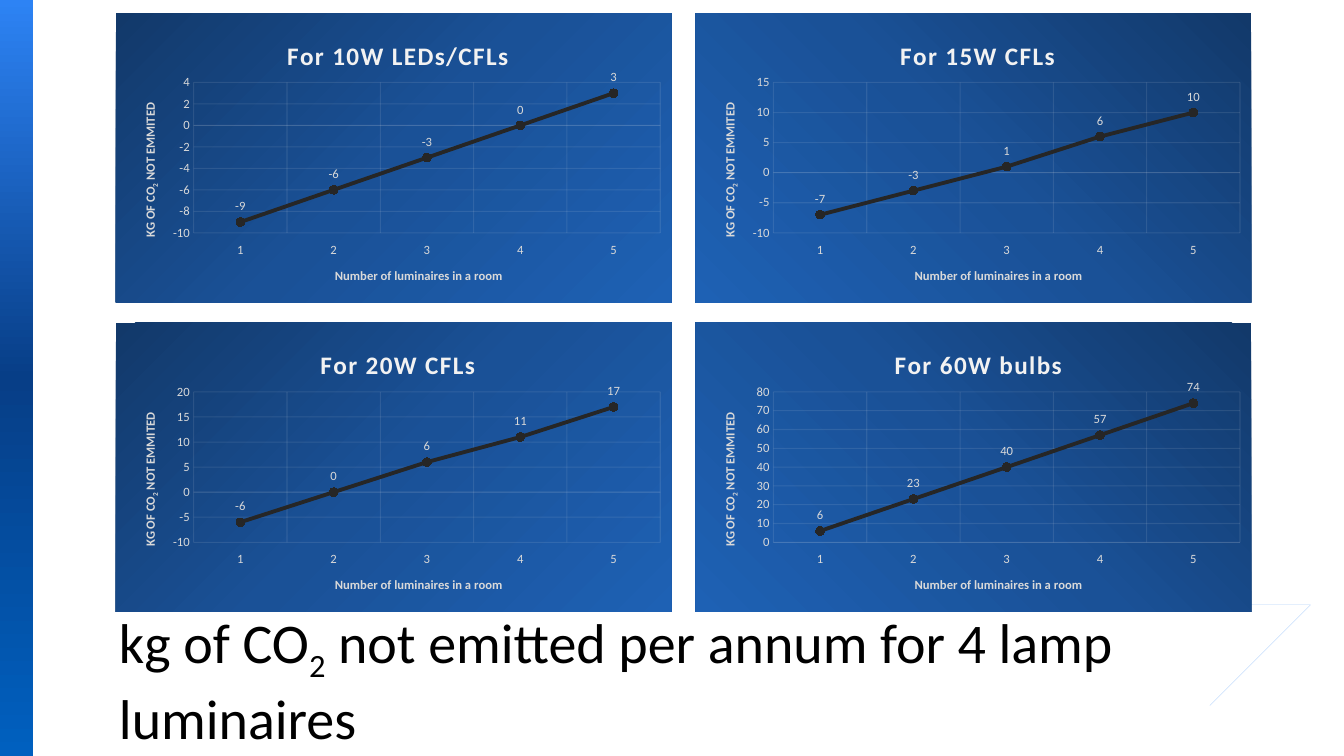
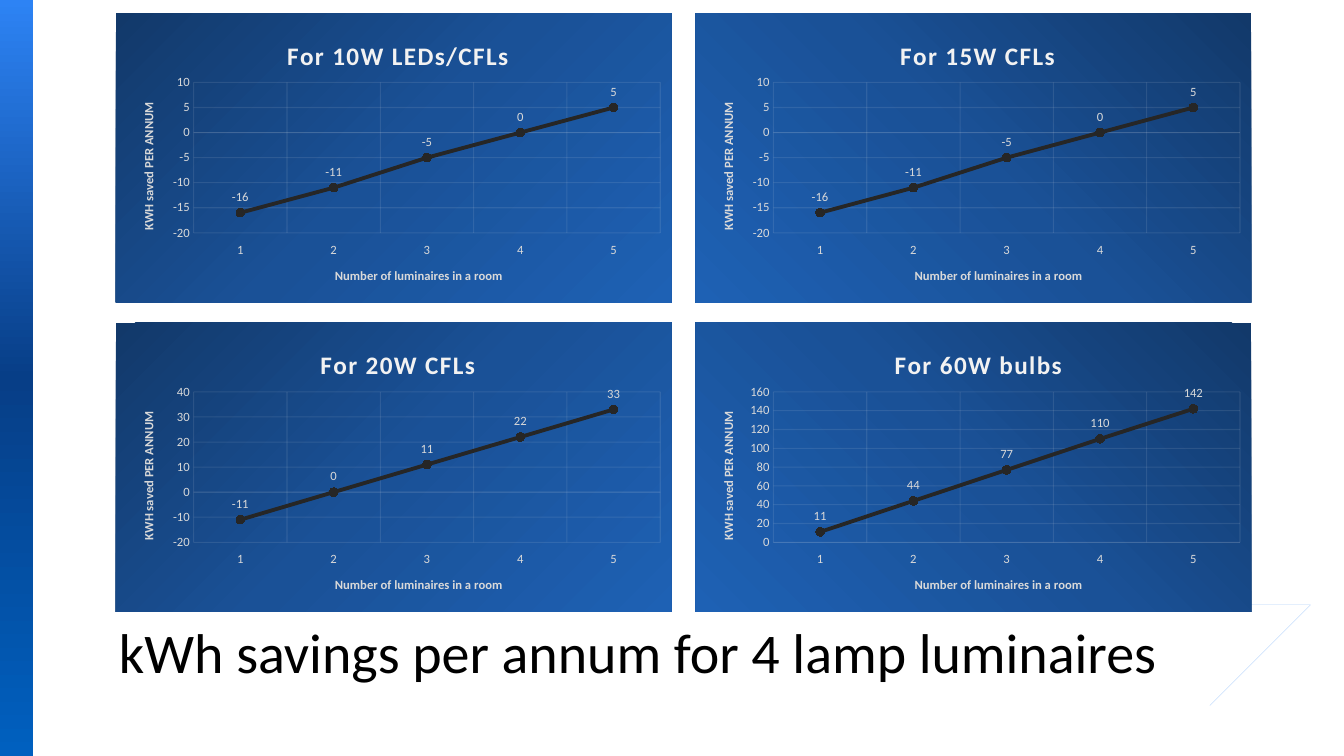
from lxml import etree
from pptx import Presentation
from pptx.chart.data import CategoryChartData
from pptx.dml.color import RGBColor
from pptx.enum.chart import (XL_CHART_TYPE, XL_LABEL_POSITION, XL_MARKER_STYLE,
                             XL_TICK_LABEL_POSITION, XL_TICK_MARK)
from pptx.enum.shapes import MSO_SHAPE
from pptx.enum.text import MSO_ANCHOR, MSO_AUTO_SIZE, PP_ALIGN
from pptx.oxml import parse_xml
from pptx.oxml.ns import qn
from pptx.util import Inches, Pt

RECTANGLE = MSO_SHAPE.RECTANGLE
LINE_MARKERS = XL_CHART_TYPE.LINE_MARKERS
ABOVE = XL_LABEL_POSITION.ABOVE
CIRCLE = XL_MARKER_STYLE.CIRCLE
TICK_LABELS_LOW = XL_TICK_LABEL_POSITION.LOW
NO_TICK = XL_TICK_MARK.NONE
BOTTOM = MSO_ANCHOR.BOTTOM
NO_AUTOFIT = MSO_AUTO_SIZE.NONE
LEFT = PP_ALIGN.LEFT

FONT = "Calibri"
BLACK, ACCENT = "000000", "2D83F4"
CHART_TITLE, CHART_TEXT, GRID = "F2F2F2", "D9D9D9", "F2F2F2"
SERIES, MARKER = "262626", "92D050"
BAND_STOPS = [(0, ACCENT), (50, "073E87"), (100, "0060BF")]
CHART_STOPS = [(0, "12396A"), (50, "1A5197"), (100, "1E61B4")]
NAMESPACES = ('xmlns:a="http://schemas.openxmlformats.org/drawingml/2006/main" '
              'xmlns:c="http://schemas.openxmlformats.org/drawingml/2006/chart"')

# Chart grid: two columns and two rows
GRID_LEFT, GRID_TOP = 1.15, 0.13
CHART_WIDTH, CHART_HEIGHT = 5.51, 2.87
COLUMN_STEP, ROW_STEP = 5.75, 3.07

# Chart title and its left edge as a share of the chart width
CHART_TITLES = [("For 10W LEDs/CFLs", 0.3), ("For 15W CFLs", 0.36),
                ("For 20W CFLs", 0.36), ("For 60W bulbs", 0.35)]
CATEGORY_TITLE = ["Number of luminaires in a room"]

# Every second text part is a subscript; a scale is minimum, maximum, step
SLIDES = [
    {
        "title": ["kg of CO", "2", " not emitted per annum for 4 lamp luminaires"],
        "title_box": (1.08, 6.03, 11.81, 1.47),
        "value_title": ["KG OF CO", "2", " NOT EMMITED"],
        "charts": [
            ([-9, -6, -3, 0, 3], (-10, 4, 2)),
            ([-7, -3, 1, 6, 10], (-10, 15, 5)),
            ([-6, 0, 6, 11, 17], (-10, 20, 5)),
            ([6, 23, 40, 57, 74], (0, 80, 10)),
        ],
    },
    {
        "title": ["kWh savings per annum for 4 lamp luminaires"],
        "title_box": (1.08, 6.11, 11.81, 0.73),
        "value_title": ["KWH saved PER ANNUM"],
        "charts": [
            ([-16, -11, -5, 0, 5], (-20, 10, 5)),
            ([-16, -11, -5, 0, 5], (-20, 10, 5)),
            ([-11, 0, 11, 22, 33], (-20, 40, 10)),
            ([11, 44, 77, 110, 142], (0, 160, 20)),
        ],
    },
]


def rgb(color):
    return RGBColor.from_string(color)


def inches(box):
    return [Inches(length) for length in box]


def style_font(font, size, color, bold=False):
    font.name, font.size, font.bold = FONT, Pt(size), bold
    font.color.rgb = rgb(color)


def write_text(text_frame, parts, size, color, bold=False):
    paragraph = text_frame.paragraphs[0]
    for part in parts:
        run = paragraph.add_run()
        run.text = part
        style_font(run.font, size, color, bold)
    return paragraph


def lower_subscripts(element):
    for run in element.xpath(".//a:r[a:t='2']"):
        run.get_or_add_rPr().set("baseline", "-25000")


def gradient(stops, angle):
    stop_xml = "".join(
        f'<a:gs pos="{position * 1000}"><a:srgbClr val="{color}"/></a:gs>'
        for position, color in stops)
    return (f'<a:gradFill {NAMESPACES} rotWithShape="1"><a:gsLst>{stop_xml}</a:gsLst>'
            f'<a:lin ang="{angle * 60000}" scaled="0"/></a:gradFill>')


def layout_element(x, y, width=None, height=None):
    """Manual chart layout, in shares of the chart area."""
    values = [("xMode", "edge"), ("yMode", "edge"), ("x", x), ("y", y)]
    if width is not None:
        values = [("layoutTarget", "inner")] + values + [("w", width), ("h", height)]
    body = "".join(f'<c:{name} val="{value}"/>' for name, value in values)
    return parse_xml(f"<c:layout {NAMESPACES}><c:manualLayout>{body}"
                     "</c:manualLayout></c:layout>")


def place_title(title, x, y):
    for old_layout in title.findall(qn("c:layout")):
        title.remove(old_layout)
    title.find(qn("c:tx")).addnext(layout_element(x, y))


def add_band(slide, box):
    band = slide.shapes.add_shape(RECTANGLE, *inches(box))
    band.shadow.inherit = False
    band.line.fill.background()
    band.element.spPr.find(qn("a:prstGeom")).addnext(
        parse_xml(gradient(BAND_STOPS, 90)))
    return band


def add_chevron(slide, box):
    left, top, width, height = box
    notch = 0.4 * width
    middle = top + height / 2
    builder = slide.shapes.build_freeform(left + notch, top, scale=Inches(1))
    builder.add_line_segments([
        (left, top), (left + width - notch, middle), (left, top + height),
        (left + notch, top + height), (left + width, middle)], close=True)
    chevron = builder.convert_to_shape()
    chevron.shadow.inherit = False
    chevron.fill.solid()
    chevron.fill.fore_color.rgb = rgb(ACCENT)
    chevron.line.fill.background()
    return chevron


def decorate_layout(layout, slide):
    """Draw the shared parts once and move them into the layout."""
    parts = [add_band(slide, (0, 0, 0.33, 7.5)),
             add_chevron(slide, (12.33, 6.25, 0.35, 0.47))]
    for part in parts:
        layout.shapes.element.append(part.element)


def add_title(slide, parts, box):
    title = slide.shapes.title
    title.left, title.top, title.width, title.height = inches(box)
    frame = title.text_frame
    frame.word_wrap = True
    frame.auto_size = NO_AUTOFIT
    frame.vertical_anchor = BOTTOM
    write_text(frame, parts, 40, BLACK).alignment = LEFT
    lower_subscripts(title.element)


def style_axis(axis, title_parts):
    axis.has_major_gridlines = True
    grid_line = axis.major_gridlines.format.line
    grid_line.color.rgb = rgb(GRID)
    grid_line.width = Pt(0.75)
    axis.major_tick_mark = axis.minor_tick_mark = NO_TICK
    style_font(axis.tick_labels.font, 9, CHART_TEXT)
    write_text(axis.axis_title.text_frame, title_parts, 9, CHART_TEXT, True)


def style_series(plot):
    plot.vary_by_categories = False
    series = plot.series[0]
    series.smooth = False
    series.format.line.color.rgb = rgb(SERIES)
    series.format.line.width = Pt(2.75)
    series.marker.style, series.marker.size = CIRCLE, 6
    series.marker.format.fill.solid()
    series.marker.format.fill.fore_color.rgb = rgb(MARKER)
    series.marker.format.line.color.rgb = rgb(SERIES)
    labels = series.data_labels
    labels.show_value = True
    labels.position = ABOVE
    labels.number_format, labels.number_format_is_linked = "0", False
    style_font(labels.font, 9, CHART_TEXT)


def finish_chart_xml(chart, title_left, angle):
    """Background gradient, faint lines, letter spacing and placement."""
    root = chart.element
    root.find(qn("c:chart")).addnext(parse_xml(
        f"<c:spPr {NAMESPACES}>{gradient(CHART_STOPS, angle)}"
        "<a:ln><a:noFill/></a:ln></c:spPr>"))
    for color in root.xpath(".//c:majorGridlines//a:srgbClr | "
                            ".//c:catAx/c:spPr//a:srgbClr"):
        etree.SubElement(color, qn("a:alpha")).set("val", "10000")
    for run in root.xpath("./c:chart/c:title//a:r"):
        run.get_or_add_rPr().set("spc", "100")
    for body in root.xpath(".//c:valAx/c:title//a:bodyPr"):
        body.set("rot", "-5400000")
        body.set("vert", "horz")
    lower_subscripts(root)

    for query, x, y in [("./c:chart/c:title", title_left, 0.07),
                        (".//c:catAx/c:title", 0.39, 0.87),
                        (".//c:valAx/c:title", 0.04, 0.3)]:
        place_title(root.xpath(query)[0], x, y)
    plot_area = root.xpath(".//c:plotArea")[0]
    for old_layout in plot_area.findall(qn("c:layout")):
        plot_area.remove(old_layout)
    plot_area.insert(0, layout_element(0.14, 0.24, 0.84, 0.52))


def add_line_chart(slide, box, title, title_left, value_title, values, scale, angle):
    data = CategoryChartData(number_format="0")
    data.categories = ["1", "2", "3", "4", "5"]
    data.add_series("Series 1", values)
    chart = slide.shapes.add_chart(LINE_MARKERS, *inches(box), data).chart
    style_font(chart.font, 10, BLACK)
    chart.has_legend = False
    chart.has_title = True
    write_text(chart.chart_title.text_frame, [title], 18, CHART_TITLE, True)

    category_axis, value_axis = chart.category_axis, chart.value_axis
    style_axis(category_axis, CATEGORY_TITLE)
    category_axis.tick_label_position = TICK_LABELS_LOW
    category_axis.format.line.color.rgb = rgb(GRID)
    category_axis.format.line.width = Pt(0.75)
    style_axis(value_axis, value_title)
    value_axis.format.line.fill.background()
    value_axis.minimum_scale, value_axis.maximum_scale, value_axis.major_unit = scale
    value_axis.tick_labels.number_format = "0"
    value_axis.tick_labels.number_format_is_linked = False

    style_series(chart.plots[0])
    finish_chart_xml(chart, title_left, angle)


def add_chart_grid(slide, value_title, charts):
    for index, (values, scale) in enumerate(charts):
        row, column = divmod(index, 2)
        box = (GRID_LEFT + column * COLUMN_STEP, GRID_TOP + row * ROW_STEP,
               CHART_WIDTH, CHART_HEIGHT)
        title, title_left = CHART_TITLES[index]
        add_line_chart(slide, box, title, title_left, value_title, values, scale,
                       angle=135 if column else 45)


def main():
    presentation = Presentation()
    presentation.slide_width, presentation.slide_height = inches((13.33, 7.5))
    layout = presentation.slide_layouts[5]
    for number, content in enumerate(SLIDES):
        slide = presentation.slides.add_slide(layout)
        if number == 0:
            decorate_layout(layout, slide)
        add_title(slide, content["title"], content["title_box"])
        add_chart_grid(slide, content["value_title"], content["charts"])
    presentation.save("out.pptx")


if __name__ == "__main__":
    main()
